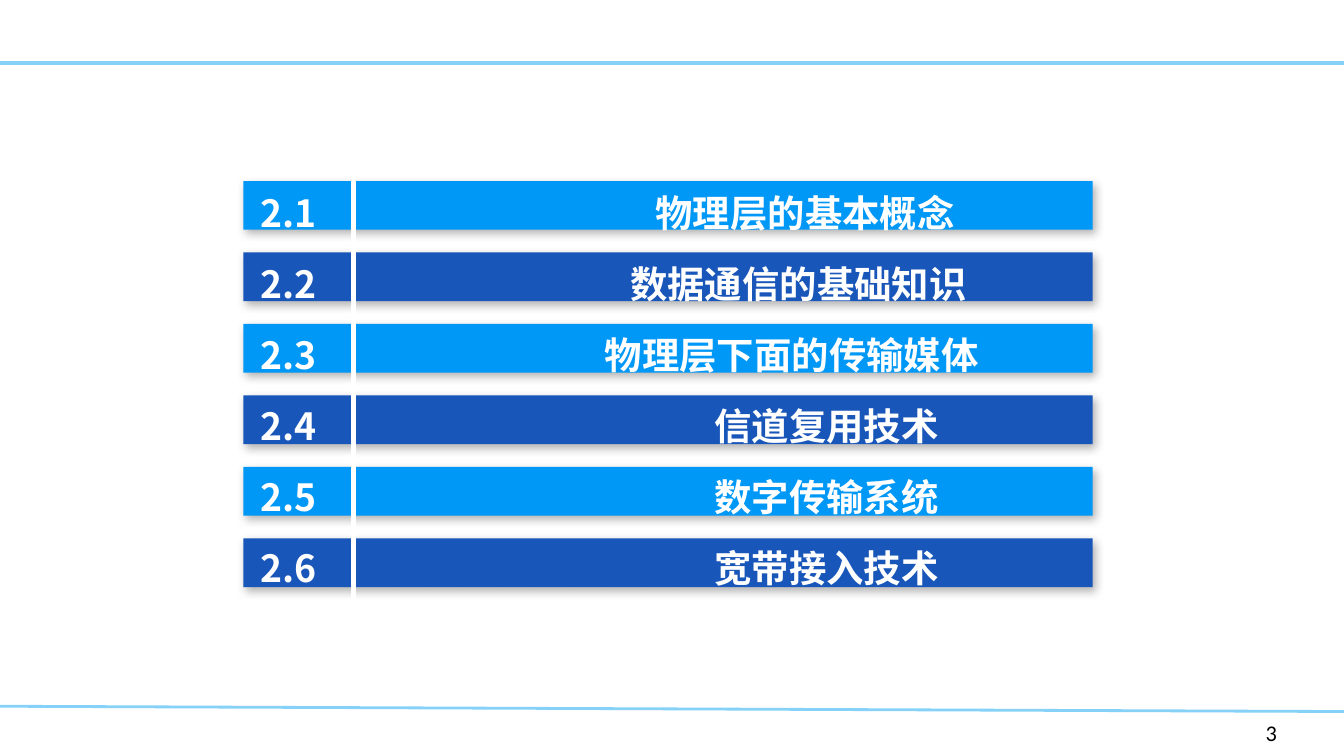
import pptx
import pptx.util
import pptx.dml.color
import pptx.enum.shapes
import pptx.enum.text
import pptx.oxml
import pptx.oxml.ns

Cm = pptx.util.Cm
Pt = pptx.util.Pt
NAMESPACE = pptx.oxml.ns.nsdecls("a")


def color(value):
    return pptx.dml.color.RGBColor.from_string(value)


def add_line(page, x1, y1, x2, y2, hex_color, width):
    line = page.shapes.add_connector(
        pptx.enum.shapes.MSO_CONNECTOR.STRAIGHT, Cm(x1), Cm(y1), Cm(x2), Cm(y2))
    line.line.color.rgb = color(hex_color)
    line.line.width = Pt(width)
    line._element.spPr.append(pptx.oxml.parse_xml(f"<a:effectLst {NAMESPACE}/>"))


deck = pptx.Presentation()
deck.slide_width = Cm(25.4)
deck.slide_height = Cm(14.28)
page = deck.slides.add_slide(deck.slide_layouts[6])

add_line(page, 0, 13.34, 25.4, 13.44, "85D1F7", 1.5)
add_line(page, 0, 1.19, 25.4, 1.19, "85D1F7", 2)

number_box = page.shapes.add_textbox(Cm(23.67), Cm(13.46), Cm(1.55), Cm(0.76))
number_box.text_frame.word_wrap = True
number_box.text_frame.vertical_anchor = pptx.enum.text.MSO_ANCHOR.MIDDLE
number_box.text_frame.text = "3"
span = number_box.text_frame.paragraphs[0].runs[0]
span.font.name = "Calibri"
span.font.size = Pt(12)
span.font.color.rgb = color("000000")

sections = [
    ("2.1", "物理层的基本概念", 7.47),
    ("2.2", "数据通信的基础知识", 6.99),
    ("2.3", "物理层下面的传输媒体", 6.51),
    ("2.4", "信道复用技术", 8.58),
    ("2.5", "数字传输系统", 8.58),
    ("2.6", "宽带接入技术", 8.58),
]

for index in range(len(sections)):
    bar = page.shapes.add_shape(
        pptx.enum.shapes.MSO_SHAPE.RECTANGLE,
        Cm(4.6), Cm(3.42 + 1.35 * index), Cm(16.05), Cm(0.92))
    bar.fill.solid()
    bar.fill.fore_color.rgb = color(("0098F6", "1956B9")[index % 2])
    bar.line.fill.background()
    bar._element.spPr.append(pptx.oxml.parse_xml(
        f'<a:effectLst {NAMESPACE}>'
        f'<a:outerShdw blurRad="{Pt(4.5)}" dist="{Pt(2.6)}" dir="{53 * 60000}" algn="tl" rotWithShape="0">'
        '<a:srgbClr val="000000"><a:alpha val="30000"/></a:srgbClr>'
        '</a:outerShdw></a:effectLst>'))

add_line(page, 6.68, 2.92, 6.68, 11.48, "FFFFFF", 2.25)

agenda = page.shapes.add_textbox(Cm(4.67), Cm(2.97), Cm(15.72), Cm(8.38))
frame = agenda.text_frame
frame.word_wrap = True
frame.auto_size = pptx.enum.text.MSO_AUTO_SIZE.SHAPE_TO_FIT_TEXT
frame.text = "\n".join(f"{number}\t{title}" for number, title, start in sections)
for para, (number, title, start) in zip(frame.paragraphs, sections):
    para._p.get_or_add_pPr().append(pptx.oxml.parse_xml(
        f'<a:tabLst {NAMESPACE}><a:tab pos="{Cm(start)}" algn="l"/></a:tabLst>'))
    para.line_spacing = Pt(38)
    for span in para.runs:
        span.font.name = "Noto Sans CJK SC"
        span.font.size = Pt(20)
        span.font.bold = True
        span.font.color.rgb = color("FFFFFF")
        span._r.get_or_add_rPr().append(pptx.oxml.parse_xml(
            f'<a:ea {NAMESPACE} typeface="Noto Sans CJK SC"/>'))

deck.save("out.pptx")
